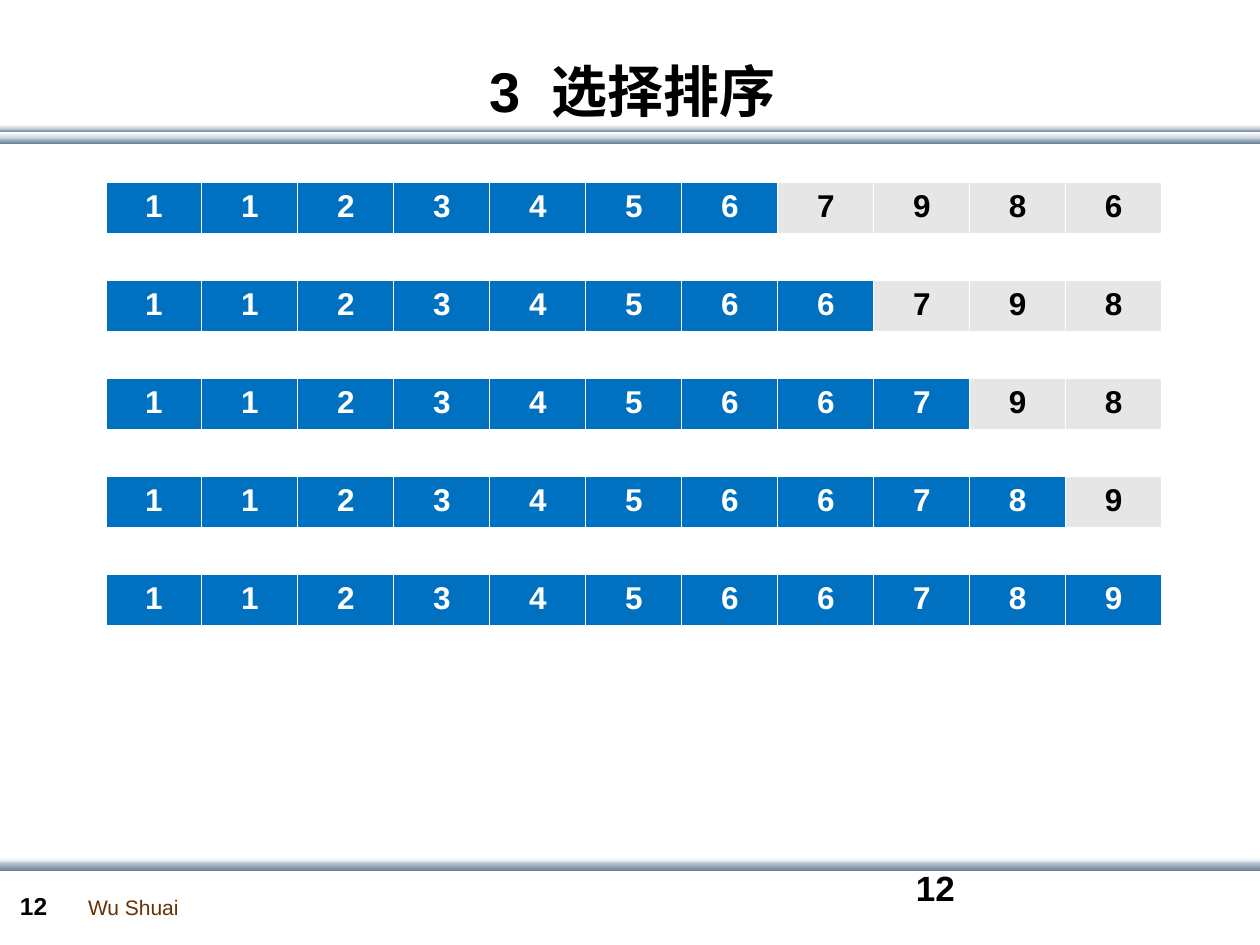
from dataclasses import dataclass

from pptx import Presentation
from pptx.dml.color import RGBColor
from pptx.enum.shapes import MSO_SHAPE
from pptx.enum.text import MSO_ANCHOR, MSO_AUTO_SIZE, PP_ALIGN
from pptx.oxml.ns import qn
from pptx.util import Inches, Pt
from lxml import etree

RECT = MSO_SHAPE.RECTANGLE
MIDDLE = MSO_ANCHOR.MIDDLE
NO_FIT = MSO_AUTO_SIZE.NONE
LEFT, CENTER = PP_ALIGN.LEFT, PP_ALIGN.CENTER


@dataclass(frozen=True)
class Theme:
    font: str = "Arial"
    black: str = "000000"
    white: str = "FFFFFF"
    brown: str = "663300"
    blue: str = "0070C0"
    grey: str = "E6E6E6"
    mist: str = "C8D1DA"
    steel: str = "6A839C"
    title: int = 32
    page: int = 20
    cell: int = 18
    number: int = 14
    author: int = 12
    thin: float = 0.45
    thick: float = 1.47


def write(frame, text, size, color, font, bold=True, align=LEFT):
    """Put one formatted line into a text frame."""
    para = frame.paragraphs[0]
    para.alignment = align
    run = para.add_run()
    run.text = text
    run.font.name = font
    run.font.size = Pt(size)
    run.font.bold = bold
    run.font.color.rgb = RGBColor.from_string(color)


class Page:
    def __init__(self, slide, theme):
        self.slide = slide
        self.theme = theme

    def title(self, text, x, y, w, h):
        t, shape = self.theme, self.slide.shapes.title
        shape.left, shape.top = Inches(x), Inches(y)
        shape.width, shape.height = Inches(w), Inches(h)
        frame = shape.text_frame
        frame.auto_size = NO_FIT
        frame.vertical_anchor = MIDDLE
        write(frame, text, t.title, t.black, t.font, align=CENTER)

    def bar(self, y, h, start, end):
        """Full-width band shaded from top to bottom."""
        shape = self.slide.shapes.add_shape(
            RECT, 0, Inches(y), Inches(10.01), Inches(h))
        shape.shadow.inherit = False
        shape.line.fill.background()
        shape.fill.gradient()
        shape.fill.gradient_angle = 270
        for stop, color in zip(shape.fill.gradient_stops, (start, end)):
            stop.color.rgb = RGBColor.from_string(color)

    def label(self, text, x, y, w, h, size, color, bold=True, wrap=True):
        box = self.slide.shapes.add_textbox(
            Inches(x), Inches(y), Inches(w), Inches(h))
        box.text_frame.word_wrap = wrap
        write(box.text_frame, text, size, color, self.theme.font, bold)

    def border(self, cell):
        t = self.theme
        props = cell._tc.get_or_add_tcPr()
        for side, width in zip("LRTB", (t.thin, t.thin, t.thin, t.thick)):
            line = etree.SubElement(props, qn(f"a:ln{side}"), w=str(Pt(width)))
            fill = etree.SubElement(line, qn("a:solidFill"))
            etree.SubElement(fill, qn("a:srgbClr"), val=t.white)

    def array(self, done, rest, x, y, w, h):
        """One-row table: sorted digits in blue, the others in grey."""
        t, digits = self.theme, done + rest
        table = self.slide.shapes.add_table(
            1, len(digits), Inches(x), Inches(y), Inches(w), Inches(h)).table
        table.first_row = table.horz_banding = False
        for i, digit in enumerate(digits):
            ready = i < len(done)
            table.columns[i].width = Inches(w / len(digits))
            cell = table.cell(0, i)
            self.border(cell)
            cell.fill.solid()
            cell.fill.fore_color.rgb = RGBColor.from_string(
                t.blue if ready else t.grey)
            write(cell.text_frame, digit, t.cell,
                  t.white if ready else t.black, t.font, align=CENTER)


def main():
    deck = Presentation()
    deck.slide_width, deck.slide_height = Inches(10), Inches(7.5)
    theme = Theme()
    page = Page(deck.slides.add_slide(deck.slide_layouts[5]), theme)

    # Header and footer bands
    dark = (theme.mist, theme.steel)
    light = (theme.white, theme.mist)
    for y, h, shade in ((1.09, 0.05, dark), (1.02, 0.03, dark),
                        (1.05, 0.05, light), (0.99, 0.03, light),
                        (6.81, 0.05, light), (6.84, 0.07, dark)):
        page.bar(y, h, *shade)

    # Footer text
    page.label("Wu Shuai", 0.6, 7.05, 0.92, 0.3, theme.author, theme.brown,
               bold=False, wrap=False)
    page.label("12", 0.06, 7.02, 0.55, 0.34, theme.number, theme.black)
    page.label("12", 7.17, 6.83, 2.33, 0.5, theme.page, theme.black)

    # Title
    page.title("3  选择排序", 0.22, 0.44, 9.6, 0.55)

    # Last passes of the selection sort
    passes = (("1123456", "7986"), ("11234566", "798"), ("112345667", "98"),
              ("1123456678", "9"), ("11234566789", ""))
    top, last = 1.45, 4.56
    step = (last - top) / (len(passes) - 1)
    for i, (done, rest) in enumerate(passes):
        page.array(done, rest, 0.84, top + i * step, 8.38, 0.41)

    deck.save("out.pptx")


if __name__ == "__main__":
    main()
